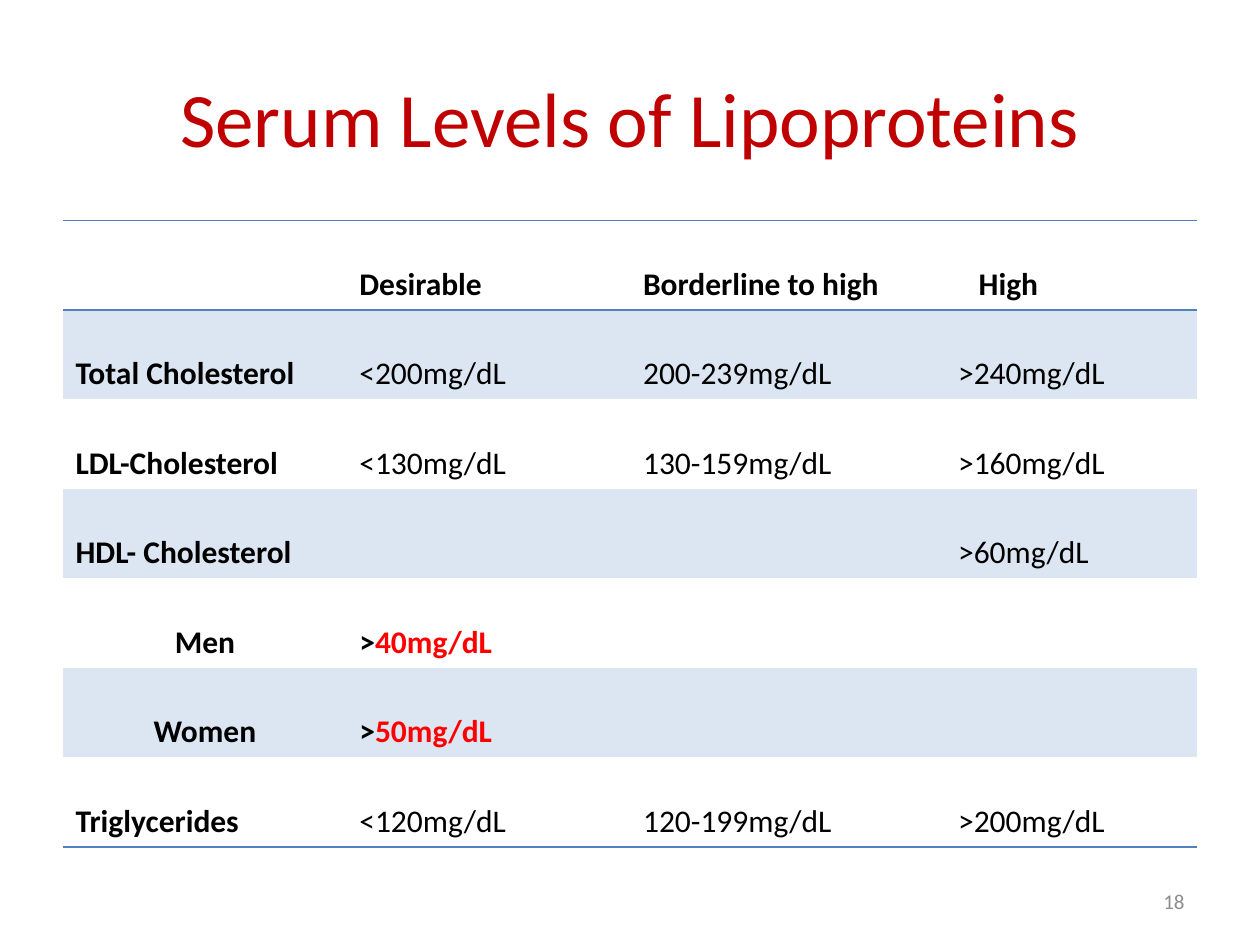
from lxml.etree import SubElement
from pptx import Presentation
from pptx.dml.color import RGBColor as RGB
from pptx.enum.text import MSO_ANCHOR as Anchor, PP_ALIGN as Align
from pptx.oxml.ns import qn
from pptx.util import Cm, Pt

TITLE = "Serum Levels of Lipoproteins"
PAGE = "18"
HEADER = ["", "Desirable", "Borderline to high", "High"]
ROWS = [
    ["Total Cholesterol", "<200mg/dL", "200-239mg/dL", ">240mg/dL"],
    ["LDL-Cholesterol", "<130mg/dL", "130-159mg/dL", ">160mg/dL"],
    ["HDL- Cholesterol", "", "", ">60mg/dL"],
    ["Men", (">", "40mg/dL"), "", ""],
    ["Women", (">", "50mg/dL"), "", ""],
    ["Triglycerides", "<120mg/dL", "120-199mg/dL", ">200mg/dL"],
]
CENTERED = {"Men", "Women"}
INDENTED = {"High": 0.67}

THEME = {
    "font": "Calibri",
    "title": "C00000", "text": "000000", "alert": "FF0000", "page": "8C8C8C",
    "line": "4F81BD", "band": "DCE6F2",
    "title_size": 44, "table_size": 18, "page_size": 12, "line_width": 1,
}
NO_STYLE = "{2D5ABB26-0587-4C30-8999-92F81FD0307C}"
LEFT, WIDTH = 1.27, 22.86
TABLE_TOP, ROW_H = 4.44, 1.8
COL_W = [5.72, 5.72, 6.35, 5.07]


def style(r, size, color, bold=False):
    r.font.name = THEME["font"]
    r.font.size = Pt(THEME[size])
    r.font.color.rgb = RGB.from_string(THEME[color])
    r.font.bold = bold


def place(s, left, top, width, height):
    s.left, s.top, s.width, s.height = Cm(left), Cm(top), Cm(width), Cm(height)


def write(s, text, align, size, color):
    tf = s.text_frame
    tf.text = text
    tf.word_wrap = True
    tf.vertical_anchor = Anchor.MIDDLE
    p = tf.paragraphs[0]
    p.alignment = align
    style(p.runs[0], size, color)


def border(cell, tag):
    ln = SubElement(cell._tc.get_or_add_tcPr(), qn(tag), w=str(Pt(THEME["line_width"])))
    fill = SubElement(ln, qn("a:solidFill"))
    SubElement(fill, qn("a:srgbClr"), val=THEME["line"])


def fill_cell(cell, value, bold):
    p = cell.text_frame.paragraphs[0]
    p.line_spacing = 2.0
    p.font.size = Pt(THEME["table_size"])
    if not value:
        return
    p.alignment = Align.CENTER if value in CENTERED else Align.LEFT
    if value in INDENTED:
        cell.margin_left = Cm(INDENTED[value])
    flagged = isinstance(value, tuple)
    for i, part in enumerate(value if flagged else [value]):
        r = p.add_run()
        r.text = part
        style(r, "table_size", "alert" if i else "text", bold or flagged)


def add_levels(slide):
    rows = [HEADER] + ROWS
    s = slide.shapes.add_table(len(rows), len(COL_W), Cm(LEFT), Cm(TABLE_TOP),
                               Cm(WIDTH), Cm(ROW_H * len(rows)))
    table = s.table
    table._tbl.tblPr.find(qn("a:tableStyleId")).text = NO_STYLE
    table.first_row = table.horz_banding = False
    for col, width in zip(table.columns, COL_W):
        col.width = Cm(width)
    for i, values in enumerate(rows):
        for j, value in enumerate(values):
            cell = table.cell(i, j)
            if i == 0:
                border(cell, "a:lnT")
            if i in (0, len(rows) - 1):
                border(cell, "a:lnB")
            if i % 2:
                cell.fill.solid()
                cell.fill.fore_color.rgb = RGB.from_string(THEME["band"])
            else:
                cell.fill.background()
            fill_cell(cell, value, i == 0 or j == 0)


def main():
    prs = Presentation()
    prs.slide_width, prs.slide_height = Cm(25.4), Cm(19.05)
    slide = prs.slides.add_slide(prs.slide_layouts[5])
    title = slide.shapes.title
    place(title, LEFT, 0.76, WIDTH, 3.18)
    write(title, TITLE, Align.CENTER, "title_size", "title")
    add_levels(slide)
    page = slide.shapes.add_textbox(Cm(18.2), Cm(17.66), Cm(5.93), Cm(1.01))
    write(page, PAGE, Align.RIGHT, "page_size", "page")
    prs.save("out.pptx")


if __name__ == "__main__":
    main()
